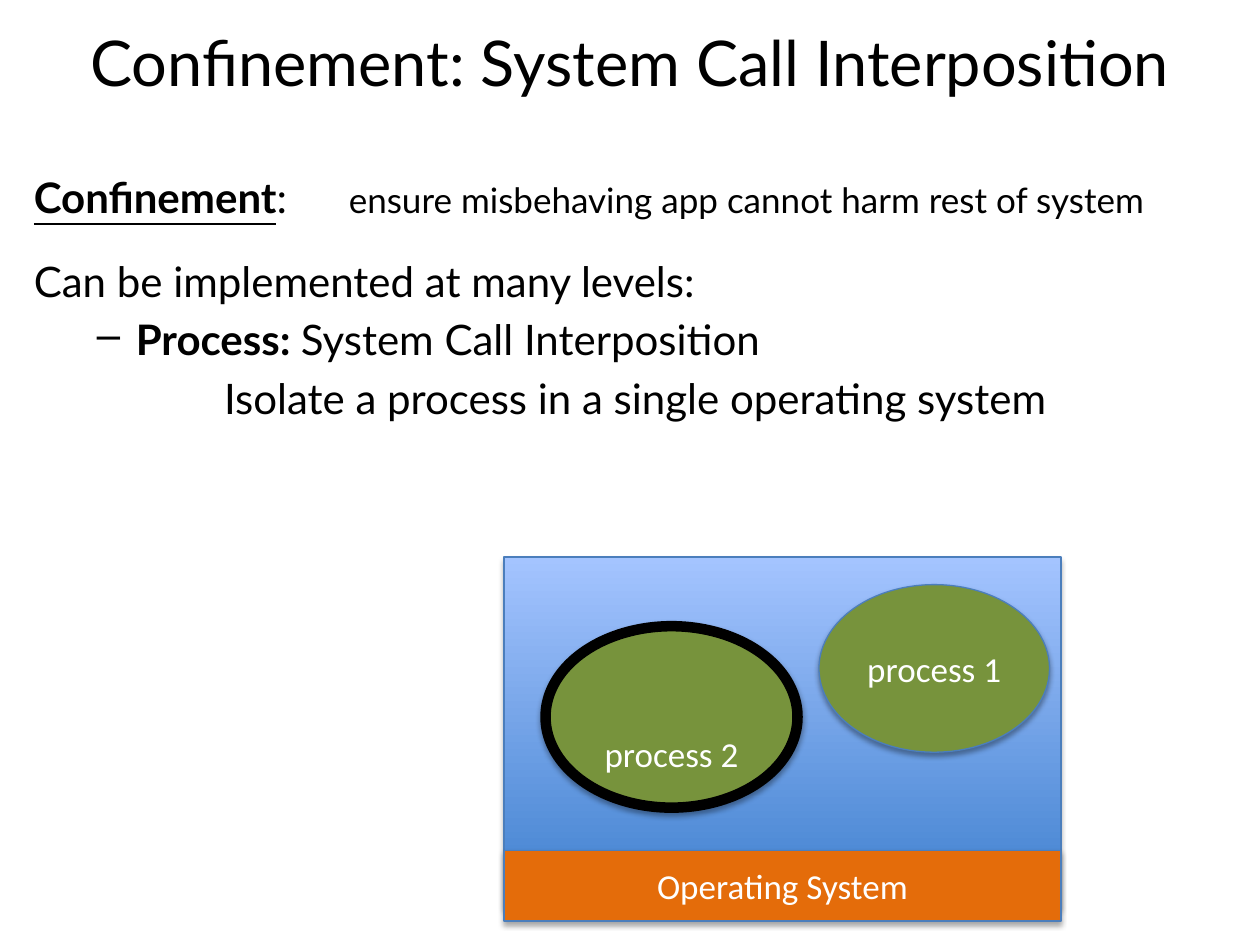
import pptx
import pptx.util
import pptx.dml.color
import pptx.enum.shapes
import pptx.enum.text
import pptx.oxml.ns
from lxml import etree

Inches = pptx.util.Inches
Pt = pptx.util.Pt
Shape = pptx.enum.shapes.MSO_SHAPE
Anchor = pptx.enum.text.MSO_ANCHOR
Align = pptx.enum.text.PP_ALIGN

BLACK, WHITE, BLUE, GREEN, ORANGE = "000000", "FFFFFF", "4B7EBC", "77933C", "E46C0A"
SKY = ("3F80CE", "A4C4FF")

TITLE = "Confinement: System Call Interposition"
BODY = [
    {"spans": [("Confinement", {"bold": True, "underline": True}), (":\t", {}),
               ("ensure misbehaving app cannot harm rest of system", {"size": Pt(20)})],
     "tab": 2.22},
    {"spans": [("Can be implemented at many levels:", {})], "before": 19.2},
    {"spans": [("Process: ", {"bold": True}), ("System Call Interposition", {})],
     "before": 4.8, "margin": 0.81, "indent": -0.31, "bullet": "–"},
    {"spans": [("Isolate a process in a single operating system", {})],
     "before": 4.8, "margin": 1.51},
]
DIAGRAM = [
    (Shape.RECTANGLE, (4, 4.42, 4.42, 2.78), SKY, BLUE, 0.75, "", Anchor.MIDDLE),
    (Shape.RECTANGLE, (4, 6.75, 4.42, 0.56), ORANGE, BLUE, 0.75, "Operating System", Anchor.MIDDLE),
    (Shape.OVAL, (4.33, 4.97, 2, 1.44), GREEN, BLACK, 6, "process 2", Anchor.BOTTOM),
    (Shape.OVAL, (6.5, 4.64, 1.83, 1.33), GREEN, BLUE, 0.75, "process 1", Anchor.MIDDLE),
]


def color(value):
    return pptx.dml.color.RGBColor.from_string(value)


def add_element(parent, tag, **attributes):
    values = {name: str(value) for name, value in attributes.items()}
    return etree.SubElement(parent, pptx.oxml.ns.qn(tag), values)


def set_font(para, name, size, value):
    para.font.name = name
    para.font.size = Pt(size)
    para.font.color.rgb = color(value)


def add_text_box(slide, place, anchor):
    box = slide.shapes.add_textbox(*map(Inches, place))
    box.text_frame.word_wrap = True
    box.text_frame.vertical_anchor = anchor
    return box.text_frame


def add_body(slide):
    frame = add_text_box(slide, (0.17, 1.31, 9.5, 6.17), Anchor.TOP)
    for index, item in enumerate(BODY):
        para = frame.add_paragraph() if index else frame.paragraphs[0]
        para.space_before = Pt(item.get("before", 0))
        properties = para._p.get_or_add_pPr()
        properties.set("marL", str(Inches(item.get("margin", 0))))
        properties.set("indent", str(Inches(item.get("indent", 0))))
        if "bullet" in item:
            add_element(properties, "a:buChar", char=item["bullet"])
        if "tab" in item:
            tabs = add_element(properties, "a:tabLst")
            add_element(tabs, "a:tab", pos=Inches(item["tab"]), algn="l")
        set_font(para, "Lato", 24, BLACK)
        for text, style in item["spans"]:
            span = para.add_run()
            span.text = text
            for name, value in style.items():
                setattr(span.font, name, value)


def add_shadow(shape):
    shape.shadow.inherit = False
    effects = shape._element.spPr.find(pptx.oxml.ns.qn("a:effectLst"))
    shadow = add_element(effects, "a:outerShdw", blurRad=Pt(3.1), dist=Pt(1.8),
                         dir=90 * 60000, rotWithShape=0)
    tint = add_element(shadow, "a:srgbClr", val=BLACK)
    add_element(tint, "a:alpha", val=35000)


def add_diagram_shape(slide, kind, place, fill, line, width, label, anchor):
    shape = slide.shapes.add_shape(kind, *map(Inches, place))
    if isinstance(fill, tuple):
        shape.fill.gradient()
        shape.fill.gradient_angle = 90
        for stop, value in zip(shape.fill.gradient_stops, fill):
            stop.color.rgb = color(value)
    else:
        shape.fill.solid()
        shape.fill.fore_color.rgb = color(fill)
    shape.line.color.rgb = color(line)
    shape.line.width = Pt(width)
    add_shadow(shape)
    if label:
        shape.text_frame.text = label
        shape.text_frame.vertical_anchor = anchor
        para = shape.text_frame.paragraphs[0]
        para.alignment = Align.CENTER
        set_font(para, "Calibri", 20, WHITE)


def main():
    deck = pptx.Presentation()
    deck.slide_width, deck.slide_height = Inches(10), Inches(7.5)
    page = deck.slides.add_slide(deck.slide_layouts[6])
    frame = add_text_box(page, (0.5, -0.14, 9, 1.25), Anchor.MIDDLE)
    frame.text = TITLE
    frame.paragraphs[0].alignment = Align.CENTER
    set_font(frame.paragraphs[0], "Lato", 36, BLACK)
    add_body(page)
    for item in DIAGRAM:
        add_diagram_shape(page, *item)
    deck.save("out.pptx")


if __name__ == "__main__":
    main()
